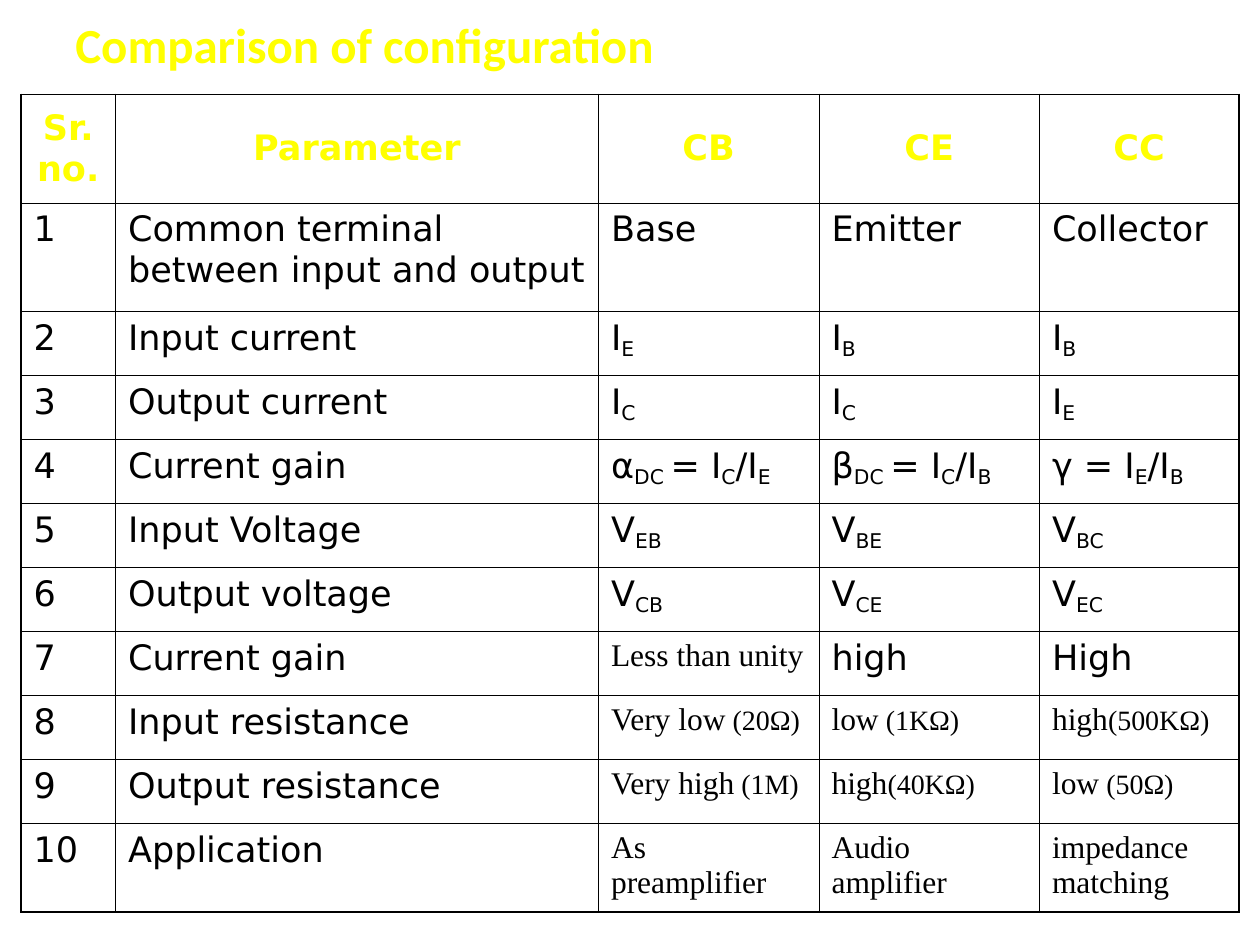
from lxml.etree import SubElement
from pptx import Presentation
from pptx.dml.color import RGBColor
from pptx.enum.text import MSO_ANCHOR, PP_ALIGN
from pptx.oxml.ns import qn
from pptx.util import Pt

YELLOW = RGBColor(0xFF, 0xFF, 0x00)
BLACK = RGBColor(0x00, 0x00, 0x00)
SANS = "DejaVu Sans"
SERIF = "Times New Roman"
THIN, THICK = 0.45, 1.08

COLUMN_WIDTHS = [54, 276, 126, 126, 114]
ROW_HEIGHTS = [62, 62] + [36.6] * 8 + [49]
HEADINGS = ["Sr.no.", "Parameter", "CB", "CE", "CC"]
COMPARISONS = [
    ["Common terminal between input and output", "Base", "Emitter", "Collector"],
    ["Input current", "I|E", "I|B", "I|B"],
    ["Output current", "I|C", "I|C", "I|E"],
    ["Current gain", "α|DC |= I|C|/I|E", "β|DC |= I|C|/I|B", "γ = I|E|/I|B"],
    ["Input Voltage", "V|EB", "V|BE", "V|BC"],
    ["Output voltage", "V|CB", "V|CE", "V|EC"],
    ["Current gain", "Less than unity", "high", "High"],
    ["Input resistance", "Very low| (20Ω)", "low| (1KΩ)", "high|(500KΩ)"],
    ["Output resistance", "Very high| (1M)", "high|(40KΩ)", "low| (50Ω)"],
    ["Application", "As preamplifier", "Audio amplifier", "impedance matching"],
]


def style_span(span, font_name, size, color, bold=False):
    """Give a run its font, size, colour and weight."""
    span.font.name = font_name
    span.font.size = Pt(size)
    span.font.color.rgb = color
    span.font.bold = bold


def add_title(page, left, top, width, height):
    """Place the slide title in the given box."""
    box = page.shapes.add_textbox(Pt(left), Pt(top), Pt(width), Pt(height))
    frame = box.text_frame
    frame.word_wrap = True
    frame.vertical_anchor = MSO_ANCHOR.MIDDLE
    frame.text = "Comparison of configuration"
    style_span(frame.paragraphs[0].runs[0], "Calibri", 28, YELLOW, bold=True)


def set_borders(cell, widths):
    """Draw black cell borders with widths keyed by side."""
    properties = cell._tc.get_or_add_tcPr()
    for side, width in widths.items():
        line = SubElement(properties, qn(f"a:ln{side}"), w=str(Pt(width)))
        fill = SubElement(line, qn("a:solidFill"))
        SubElement(fill, qn("a:srgbClr"), val=str(BLACK))


def fill_heading(cell, text):
    """Write a centred heading."""
    cell.text = text
    cell.vertical_anchor = MSO_ANCHOR.MIDDLE
    para = cell.text_frame.paragraphs[0]
    para.alignment = PP_ALIGN.CENTER
    style_span(para.runs[0], SANS, 20, YELLOW, bold=True)


def fill_value(cell, text, serif):
    """Write a value whose parts after each odd bar are subscripts or smaller notes."""
    para = cell.text_frame.paragraphs[0]
    for index, part in enumerate(text.split("|")):
        span = para.add_run()
        span.text = part
        secondary = index % 2 == 1
        if serif:
            style_span(span, SERIF, 16 if secondary else 18, BLACK)
        else:
            style_span(span, SANS, 20, BLACK)
            if secondary:
                span._r.get_or_add_rPr().set("baseline", "-18000")


def add_comparison_table(page, left, top, width, height):
    """Place the comparison table in the given box."""
    rows = [HEADINGS]
    rows += [[str(number), *values] for number, values in enumerate(COMPARISONS, 1)]
    last_row, last_column = len(rows) - 1, len(HEADINGS) - 1
    table = page.shapes.add_table(
        len(rows), len(HEADINGS), Pt(left), Pt(top), Pt(width), Pt(height)
    ).table
    table.first_row = True
    table.horz_banding = False
    for column, column_width in zip(table.columns, COLUMN_WIDTHS):
        column.width = Pt(column_width)
    for row, row_height in zip(table.rows, ROW_HEIGHTS):
        row.height = Pt(row_height)

    for r, values in enumerate(rows):
        for c, text in enumerate(values):
            cell = table.cell(r, c)
            set_borders(cell, {
                "L": THICK if c == 0 else THIN,
                "R": THICK if c == last_column else THIN,
                "T": THICK if r == 0 else THIN,
                "B": THICK if r == last_row else THIN,
            })
            cell.fill.background()
            if r == 0:
                fill_heading(cell, text)
            else:
                serif = (r >= 8 and c >= 2) or (r, c) == (7, 2)
                fill_value(cell, text, serif)


def main():
    """Build the slide and save the deck."""
    deck = Presentation()
    deck.slide_width, deck.slide_height = Pt(720), Pt(540)
    page = deck.slides.add_slide(deck.slide_layouts[6])
    add_title(page, 36, 6, 648, 38)
    add_comparison_table(page, 12, 54, sum(COLUMN_WIDTHS), sum(ROW_HEIGHTS))
    deck.save("out.pptx")


if __name__ == "__main__":
    main()
